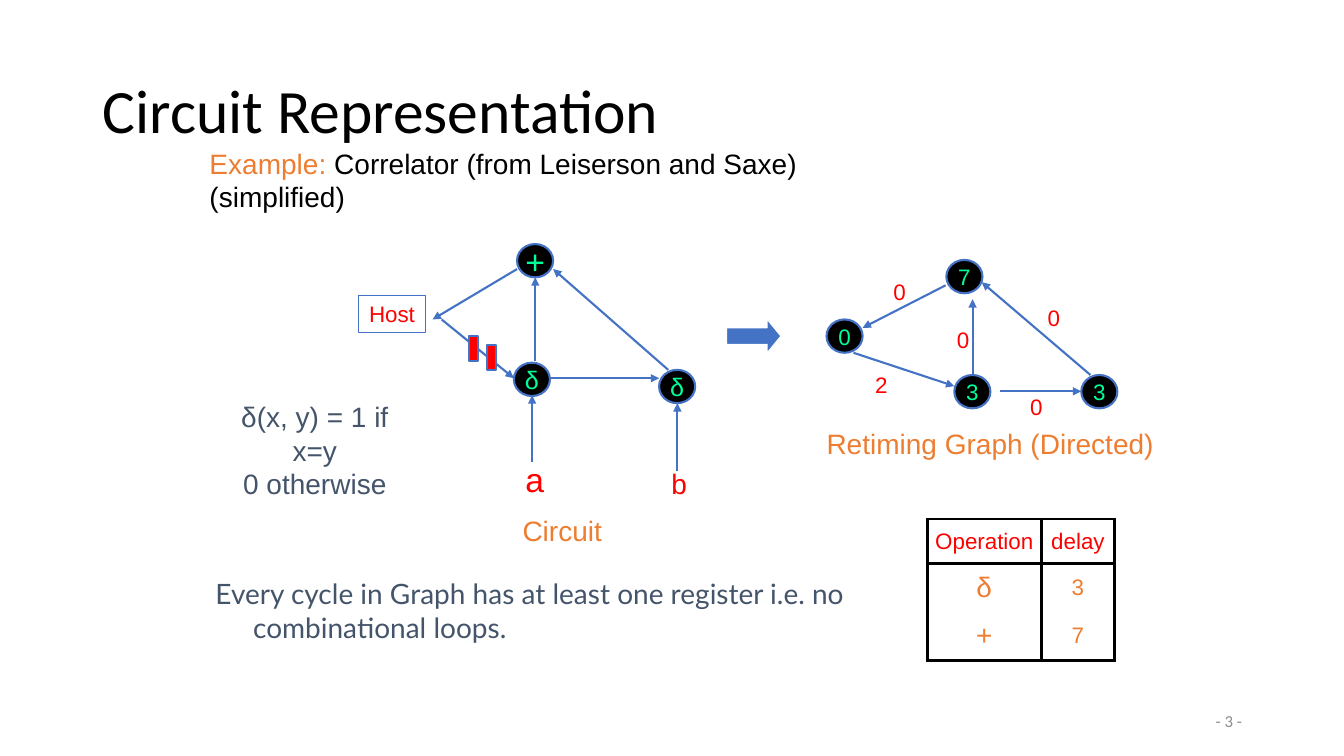
from lxml.etree import SubElement
from pptx import Presentation
from pptx.dml.color import RGBColor
from pptx.enum.shapes import MSO_CONNECTOR, MSO_SHAPE
from pptx.enum.text import MSO_ANCHOR, PP_ALIGN
from pptx.oxml.ns import qn
from pptx.util import Cm, Pt

BLACK, RED, BLUE, ORANGE = "000000", "FF0000", "4472C4", "ED7D31"
SLATE, MINT, GREY, WHITE = "44546A", "00FF99", "8C8C8C", "FFFFFF"
LEFT, CENTER, RIGHT = PP_ALIGN.LEFT, PP_ALIGN.CENTER, PP_ALIGN.RIGHT
NODE_W, NODE_H = 0.91, 0.84
WEIGHT_W, WEIGHT_H = 0.84, 0.94

TITLE = ("Circuit Representation", (2.34, 1.02, 29.21, 3.68), 44, "Calibri", BLACK, LEFT)
EXAMPLE = ("Example: Correlator (from Leiserson and Saxe) (simplified)",
           (5.03, 3.99, 18.9, 1.09), 20, "Arial", BLACK, LEFT)
EXAMPLE_LEAD = "Example:"
NOTE = ("Every cycle in Graph has at least one register i.e. no combinational loops.",
        (5.18, 14.4, 17.88, 2.11), 20, "Lato", SLATE, LEFT)
CAPTIONS = [
    ("Circuit", (12.9, 12.8, 2.54, 1.12), 20, "Arial", ORANGE, CENTER),
    ("Retiming Graph (Directed)", (20.55, 10.62, 8.81, 1.12), 20, "Arial", ORANGE, CENTER),
    ("δ(x, y) = 1 if x=y\n0 otherwise", (5.18, 10.36, 5.51, 1.96), 20, "Arial", SLATE, CENTER),
    ("a", (12.98, 11.43, 0.99, 1.27), 24, "Arial", RED, CENTER),
    ("b", (16.66, 11.63, 0.91, 1.12), 20, "Arial", RED, CENTER),
    ("- 3 -", (23.93, 17.65, 7.62, 1.02), 12, "Calibri", GREY, RIGHT),
]
NODES = [
    ("+", 13.03, 6.15, 24), ("δ", 12.95, 9.14, 18), ("δ", 16.61, 9.32, 18),
    ("7", 23.85, 6.55, 16), ("0", 20.83, 8.05, 16),
    ("3", 24.05, 9.45, 16), ("3", 27.25, 9.45, 16),
]
CIRCUIT_WIRES = [
    (13.03, 6.78, 10.9, 8.05), (11.13, 8.05, 12.95, 9.53),
    (13.87, 9.53, 16.61, 9.53), (16.84, 9.32, 13.94, 6.78),
    (13.41, 11.63, 13.41, 9.96), (17.07, 11.86, 17.07, 10.16),
    (13.49, 9.09, 13.49, 6.99),
]
GRAPH_EDGES = [
    ((23.83, 7.19, 21.74, 8.26), "0", (22.25, 6.88)),
    ((21.51, 8.89, 24.05, 9.73), "2", (21.79, 9.22)),
    ((25.2, 9.86, 27.25, 9.86), "0", (25.7, 9.78)),
    ((27.48, 9.45, 24.74, 7.11), "0", (26.14, 7.52)),
    ((24.51, 9.45, 24.51, 7.54), "0", (23.85, 8.08)),
]
HOST = ("Host", (9.04, 7.44, 1.68, 0.94))
REGISTERS = [(11.81, 8.46, 0.23, 0.64), (12.27, 8.69, 0.23, 0.64)]
BECOMES = (18.31, 8.05, 1.37, 0.84)
DELAYS = [("Operation", "delay"), ("δ", "3"), ("+", "7")]
DELAYS_BOX = (23.37, 13.08, 4.72, 3.56)
DELAY_COLUMNS = (2.87, 1.85)
DELAY_ROWS = (1.12, 1.22, 1.22)


def color(hex_code):
    return RGBColor.from_string(hex_code)


def write(frame, text, size, font, ink, align, anchor=MSO_ANCHOR.MIDDLE):
    frame.text = text
    frame.word_wrap = True
    frame.vertical_anchor = anchor
    for paragraph in frame.paragraphs:
        paragraph.alignment = align
        for run in paragraph.runs:
            run.font.size, run.font.name = Pt(size), font
            run.font.color.rgb = color(ink)


def tighten(frame):
    frame.margin_left = frame.margin_right = 0
    frame.margin_top = frame.margin_bottom = 0


def add_text(slide, text, box, size, font, ink, align):
    frame = slide.shapes.add_textbox(*map(Cm, box)).text_frame
    write(frame, text, size, font, ink, align)
    return frame


def add_figure(slide, preset, box, fill, outline, weight):
    figure = slide.shapes.add_shape(preset, *map(Cm, box))
    figure.shadow.inherit = False
    if fill:
        figure.fill.solid()
        figure.fill.fore_color.rgb = color(fill)
    else:
        figure.fill.background()
    figure.line.color.rgb = color(outline)
    figure.line.width = Pt(weight)
    return figure


def add_arrow(slide, ends):
    arrow = slide.shapes.add_connector(MSO_CONNECTOR.STRAIGHT, *map(Cm, ends))
    arrow.line.color.rgb = color(BLUE)
    arrow.line.width = Pt(1.5)
    properties = arrow.line._get_or_add_ln()
    SubElement(properties, qn("a:tailEnd"), type="triangle")
    SubElement(arrow._element.spPr, qn("a:effectLst"))


def add_border(cell, sides):
    properties = cell._tc.get_or_add_tcPr()
    for position, side in enumerate(("lnL", "lnR", "lnT", "lnB")):
        border = properties.makeelement(qn("a:" + side), {"w": str(Pt(2.25))})
        properties.insert(position, border)
        if side in sides:
            paint = SubElement(border, qn("a:solidFill"))
            SubElement(paint, qn("a:srgbClr"), val=BLACK)
        else:
            SubElement(border, qn("a:noFill"))


def add_delays(slide):
    table = slide.shapes.add_table(len(DELAYS), 2, *map(Cm, DELAYS_BOX)).table
    for column, width in zip(table.columns, DELAY_COLUMNS):
        column.width = Cm(width)
    for r, (entries, height) in enumerate(zip(DELAYS, DELAY_ROWS)):
        table.rows[r].height = Cm(height)
        for c, entry in enumerate(entries):
            cell = table.cell(r, c)
            cell.fill.background()
            cell.margin_left = cell.margin_right = Cm(0.1)
            cell.margin_top = cell.margin_bottom = 0
            cell.vertical_anchor = MSO_ANCHOR.MIDDLE
            size = 20 if r and c == 0 else 16
            write(cell.text_frame, entry, size, "Arial", ORANGE if r else RED, CENTER)
            sides = {"lnL", "lnR"}
            if r < 2:
                sides.add("lnT")
            if r != 1:
                sides.add("lnB")
            add_border(cell, sides)


def main():
    """Build the circuit representation slide."""
    deck = Presentation()
    deck.slide_width, deck.slide_height = Cm(33.87), Cm(19.05)
    slide = deck.slides.add_slide(deck.slide_layouts[6])

    add_text(slide, *TITLE).paragraphs[0].line_spacing = 0.9

    example = add_text(slide, *EXAMPLE).paragraphs[0]
    lead = example.runs[0]
    rest = example.add_run()
    rest.text = lead.text[len(EXAMPLE_LEAD):]
    rest.font.size, rest.font.name = lead.font.size, lead.font.name
    rest.font.color.rgb = color(BLACK)
    lead.text = EXAMPLE_LEAD
    lead.font.color.rgb = color(ORANGE)

    note = add_text(slide, *NOTE)
    note.vertical_anchor = MSO_ANCHOR.TOP
    indents = note.paragraphs[0]._p.get_or_add_pPr()
    indents.set("marL", str(Cm(0.95)))
    indents.set("indent", str(-Cm(0.95)))

    for caption in CAPTIONS:
        add_text(slide, *caption)

    add_figure(slide, MSO_SHAPE.RIGHT_ARROW, BECOMES, BLUE, WHITE, 0.75).adjustments[1] = 0.41
    for wire in CIRCUIT_WIRES:
        add_arrow(slide, wire)
    for ends, weight, corner in GRAPH_EDGES:
        add_arrow(slide, ends)
        tighten(add_text(slide, weight, (*corner, WEIGHT_W, WEIGHT_H), 16, "Arial", RED, CENTER))
    for label, x, y, size in NODES:
        node = add_figure(slide, MSO_SHAPE.OVAL, (x, y, NODE_W, NODE_H), BLACK, BLUE, 1.5)
        write(node.text_frame, label, size, "Arial", MINT, CENTER)
        tighten(node.text_frame)
    for register in REGISTERS:
        add_figure(slide, MSO_SHAPE.RECTANGLE, register, RED, BLUE, 1.5)

    host_label, host_box = HOST
    host = add_figure(slide, MSO_SHAPE.RECTANGLE, host_box, None, BLUE, 0.75)
    write(host.text_frame, host_label, 16, "Arial", RED, CENTER)
    tighten(host.text_frame)

    add_delays(slide)
    deck.save("out.pptx")


if __name__ == "__main__":
    main()
